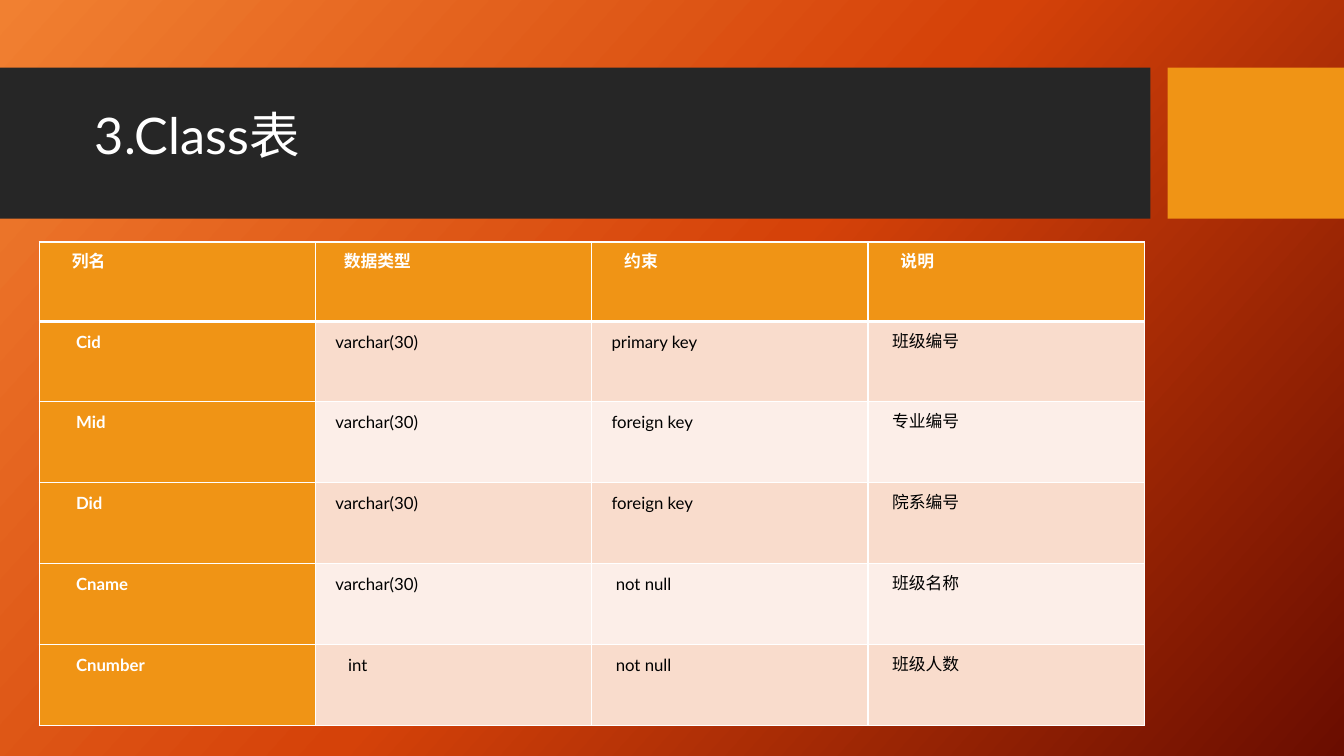
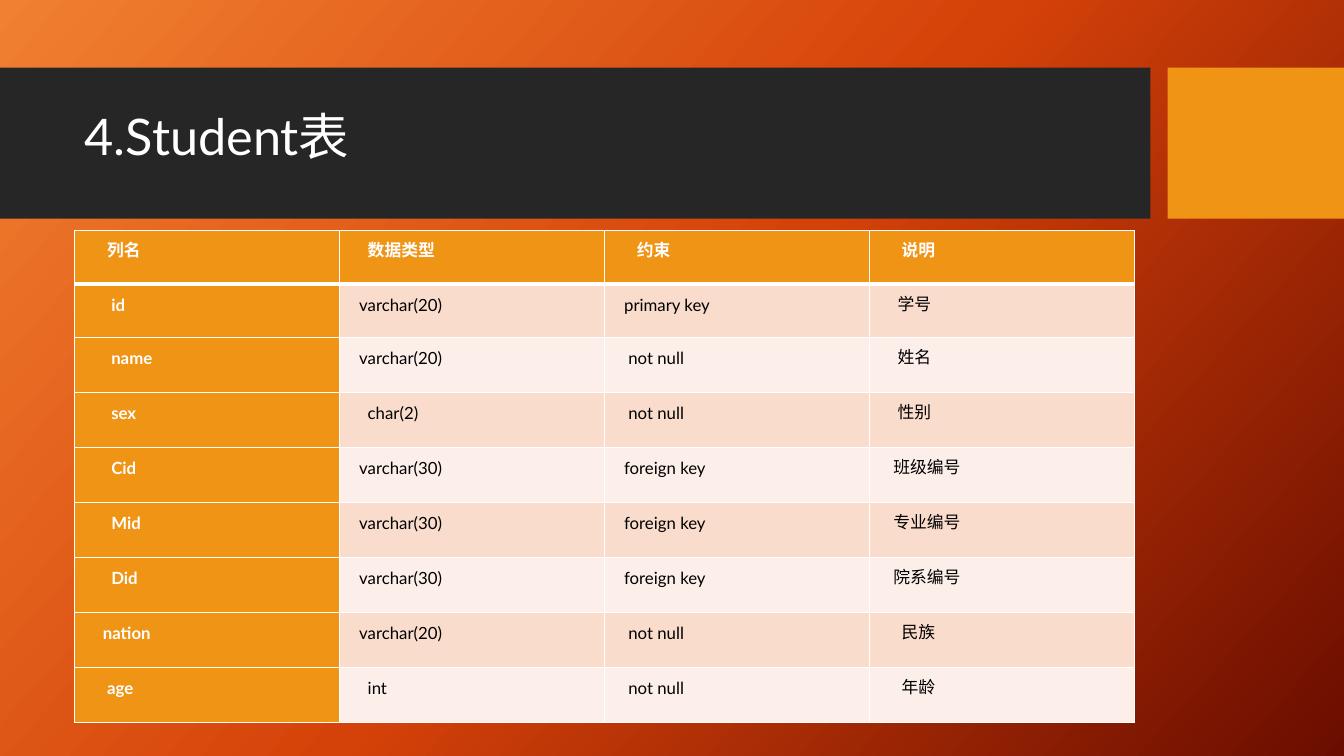
from copy import deepcopy

from lxml import etree
from pptx import Presentation
from pptx.dml.color import RGBColor
from pptx.enum.shapes import MSO_SHAPE
from pptx.enum.text import MSO_ANCHOR, PP_ALIGN
from pptx.oxml.ns import qn
from pptx.util import Inches, Pt

RECTANGLE = MSO_SHAPE.RECTANGLE
TOP = MSO_ANCHOR.TOP
LEFT = PP_ALIGN.LEFT

# Shared look
FONT = "Lato"
WHITE, BLACK = "FFFFFF", "000000"
CHARCOAL, ORANGE = "262626", "F09415"
STRIPES = ("F9DCCC", "FCEEE8")
BACKDROP = ((0, "F18031"), (0.5, "D54209"), (1, "6A0D00"))
BACKDROP_ANGLE = 42
BAND_TOP, BAND_HEIGHT = 0.67, 1.5
BANDS = ((0, 11.41, CHARCOAL), (11.58, 1.75, ORANGE))  # left, width, colour
TITLE_SIZE = (10.51, 1.18)
CELL_MARGIN, INDENT_STEP = 0.07, 0.042

# Content: a cell is its text, or (text, indent steps) where it differs
# from the usual indent of its column
HEADER = (("列名", 6), ("数据类型", 5), ("约束", 6), ("说明", 6))
COLUMN_STEPS = (7, 3, 3, 4)
NOT_NULL = ("not null", 4)

SCHEMAS = [
    {
        "title": "3.Class表",
        "title_at": (0.84, 1.1),
        "table_at": (0.39, 2.4, 10.96, 4.8),
        "lead_height": 0.79,  # header and first row
        "fields": [
            ("Cid", "varchar(30)", "primary key", "班级编号"),
            ("Mid", "varchar(30)", "foreign key", "专业编号"),
            ("Did", "varchar(30)", "foreign key", "院系编号"),
            ("Cname", "varchar(30)", NOT_NULL, "班级名称"),
            ("Cnumber", ("int", 6), NOT_NULL, "班级人数"),
        ],
    },
    {
        "title": "4.Student表",
        "title_at": (0.74, 1.11),
        "table_at": (0.74, 2.29, 10.51, 4.88),
        "lead_height": 0.53,
        "fields": [
            ("id", "varchar(20)", "primary key", ("学号", 5)),
            ("name", "varchar(20)", NOT_NULL, ("姓名", 5)),
            ("sex", ("char(2)", 5), NOT_NULL, ("性别", 5)),
            ("Cid", "varchar(30)", "foreign key", "班级编号"),
            ("Mid", "varchar(30)", "foreign key", "专业编号"),
            ("Did", "varchar(30)", "foreign key", "院系编号"),
            (("nation", 5), "varchar(20)", NOT_NULL, ("民族", 6)),
            (("age", 6), ("int", 5), NOT_NULL, ("年龄", 6)),
        ],
    },
]


def rgb(color):
    return RGBColor.from_string(color)


def set_backdrop(master):
    fill = master.background.fill
    fill.gradient()
    fill.gradient_angle = 360 - BACKDROP_ANGLE
    stop_list = next(master.element.iter(qn("a:gsLst")))
    stop_list.append(deepcopy(stop_list[0]))
    for stop, (position, color) in zip(fill.gradient_stops, BACKDROP):
        stop.position = position
        stop.color.rgb = rgb(color)


def add_bands(slide, layout):
    """Draw the bands, then move them behind everything on the layout."""
    for left, width, color in BANDS:
        band = slide.shapes.add_shape(
            RECTANGLE, Inches(left), Inches(BAND_TOP), Inches(width), Inches(BAND_HEIGHT))
        band.fill.solid()
        band.fill.fore_color.rgb = rgb(color)
        band.line.fill.background()
        band.shadow.inherit = False
        layout.shapes.element.insert(2, band.element)


def set_title(slide, text, position):
    title = slide.shapes.title
    title.left, title.top = map(Inches, position)
    title.width, title.height = map(Inches, TITLE_SIZE)
    frame = title.text_frame
    frame.text = text
    frame.word_wrap = True
    frame.vertical_anchor = TOP
    frame.margin_top = 0
    paragraph = frame.paragraphs[0]
    paragraph.alignment = LEFT
    paragraph.line_spacing = 0.9
    paragraph.font.name = FONT
    paragraph.font.size = Pt(36)
    paragraph.font.color.rgb = rgb(WHITE)


def set_borders(cell, widths):
    """Rule the cell in white; widths are left, right, top, bottom in points."""
    properties = cell._tc.get_or_add_tcPr()
    for index, (side, width) in enumerate(zip("LRTB", widths)):
        line = etree.Element(qn(f"a:ln{side}"), w=str(Pt(width)))
        solid = etree.SubElement(line, qn("a:solidFill"))
        etree.SubElement(solid, qn("a:srgbClr"), val=WHITE)
        properties.insert(index, line)


def fill_cell(cell, content, row, column):
    text, steps = content if isinstance(content, tuple) else (content, COLUMN_STEPS[column])
    heading = row == 0 or column == 0
    cell.text = text
    cell.margin_left = Inches(CELL_MARGIN + steps * INDENT_STEP)
    cell.margin_right = Inches(CELL_MARGIN)
    cell.margin_top = cell.margin_bottom = 0
    cell.fill.solid()
    cell.fill.fore_color.rgb = rgb(ORANGE if heading else STRIPES[(row - 1) % 2])
    set_borders(cell, (1, 1, 3 if row == 1 else 1, 3 if row == 0 else 1))
    paragraph = cell.text_frame.paragraphs[0]
    paragraph.line_spacing = Pt(22)
    paragraph.font.name = FONT
    paragraph.font.size = Pt(12)
    paragraph.font.bold = heading
    paragraph.font.color.rgb = rgb(WHITE if heading else BLACK)


def add_schema_table(slide, schema):
    rows = [HEADER, *schema["fields"]]
    left, top, width, height = schema["table_at"]
    table = slide.shapes.add_table(
        len(rows), len(HEADER), Inches(left), Inches(top), Inches(width), Inches(height)).table
    table.first_row = table.horz_banding = False
    for column in table.columns:
        column.width = Inches(width / len(HEADER))
    lead = schema["lead_height"]
    rest = (height - 2 * lead) / (len(rows) - 2)
    for row, contents in enumerate(rows):
        table.rows[row].height = Inches(lead if row < 2 else rest)
        for column, content in enumerate(contents):
            fill_cell(table.cell(row, column), content, row, column)


def main():
    deck = Presentation()
    deck.slide_width, deck.slide_height = Inches(13.33), Inches(7.5)
    set_backdrop(deck.slide_master)
    title_only = deck.slide_layouts[5]
    for number, schema in enumerate(SCHEMAS):
        slide = deck.slides.add_slide(title_only)
        if number == 0:
            add_bands(slide, title_only)
        set_title(slide, schema["title"], schema["title_at"])
        add_schema_table(slide, schema)
    deck.save("out.pptx")


if __name__ == "__main__":
    main()
